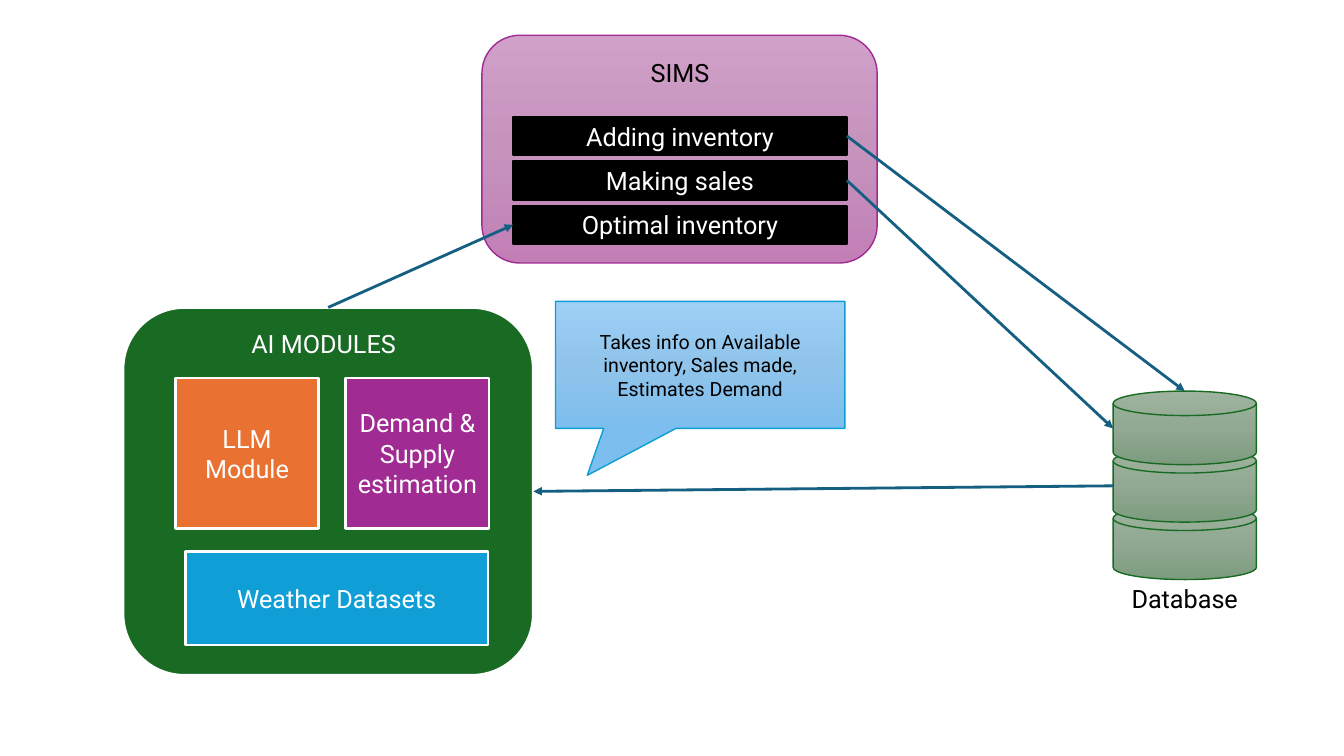
"""Build the inventory system architecture slide."""
from copy import deepcopy

from lxml import etree
from pptx import Presentation
from pptx import util as u
from pptx.dml.color import RGBColor
from pptx.enum import shapes, text
from pptx.oxml.ns import qn

THEME = {
    "font": "Roboto", "body": 18, "note": 14,
    "black": "000000", "white": "FFFFFF", "green": "196B24",
    "purple": "A02B93", "orange": "E97132", "blue": "0F9ED5", "arrow": "156082",
    "disk": ["9EB49F", "91A892", "7D9C7E"],
    "panel": ["D0A0C8", "C693BD", "C17FB6"],
    "callout": ["9ECFF5", "90C4EB", "7CBEED"],
}
KIND = shapes.MSO_SHAPE

prs = Presentation()
prs.slide_width, prs.slide_height = u.Inches(13.33), u.Inches(7.5)
s = prs.slides.add_slide(prs.slide_layouts[6])


def write(sp, words, color, size="body"):
    """Put centred, wrapped text in a shape."""
    tf = sp.text_frame
    tf.word_wrap = True
    p = tf.paragraphs[0]
    p.alignment = text.PP_ALIGN.CENTER
    r = p.add_run()
    r.text = words
    formats = {"name": THEME["font"], "size": u.Pt(THEME[size])}
    for name, value in formats.items():
        setattr(r.font, name, value)
    r.font.color.rgb = RGBColor.from_string(THEME[color])


def add_block(kind, box, fill, line, width):
    """Add a shape with a solid or vertical three-stop gradient fill."""
    sp = s.shapes.add_shape(kind, *map(u.Inches, box))
    sp.shadow.inherit = False
    colors = THEME[fill]
    if isinstance(colors, list):
        sp.fill.gradient()
        sp.fill.gradient_angle = 270
        stop_list = sp._element.spPr.find(qn("a:gradFill")).find(qn("a:gsLst"))
        stop_list.append(deepcopy(stop_list[0]))
        for i, (stop, color) in enumerate(zip(sp.fill.gradient_stops, colors)):
            stop.position = i / 2
            stop.color.rgb = RGBColor.from_string(color)
    else:
        sp.fill.solid()
        sp.fill.fore_color.rgb = RGBColor.from_string(colors)
    sp.line.color.rgb = RGBColor.from_string(THEME[line])
    sp.line.width = u.Pt(width)
    return sp


for i in range(3):
    add_block(KIND.FLOWCHART_MAGNETIC_DISK, (11.04, 5.02 - 0.57 * i, 1.42, 0.73),
              "disk", "green", 1)

add_block(KIND.ROUNDED_RECTANGLE, (4.78, 0.35, 3.92, 2.26), "panel", "purple", 1)
bars = []
for i, words in enumerate(["Adding inventory", "Making sales", "Optimal inventory"]):
    bar = add_block(KIND.RECTANGLE, (5.09, 1.16 + 0.44 * i, 3.31, 0.38),
                    "black", "black", 1.5)
    write(bar, words, "white")
    bars.append(bar)

ai_panel = add_block(KIND.ROUNDED_RECTANGLE, (1.22, 3.05, 4.07, 3.65), "green", "white", 2)
modules = [
    ("Demand & Supply estimation", (3.43, 3.75, 1.42, 1.49), "purple"),
    ("LLM Module", (1.74, 3.75, 1.42, 1.49), "orange"),
    ("Weather Datasets", (1.84, 5.47, 3, 0.93), "blue"),
]
for words, box, fill in modules:
    write(add_block(KIND.RECTANGLE, box, fill, "white", 2), words, "white")

callout = add_block(KIND.RECTANGULAR_CALLOUT, (5.51, 2.99, 2.87, 1.26), "callout", "blue", 1)
callout.adjustments[0], callout.adjustments[1] = -0.39, 0.87
write(callout, "Takes info on Available inventory, Sales made, Estimates Demand",
      "black", "note")

labels = [
    ("Database", (11.04, 5.74, 1.42, 0.4), "black"),
    ("SIMS", (5.09, 0.52, 3.31, 0.4), "black"),
    ("AI MODULES", (1.84, 3.21, 2.74, 0.4), "white"),
]
for words, box, color in labels:
    label = s.shapes.add_textbox(*map(u.Inches, box))
    write(label, words, color)
    label.text_frame.auto_size = text.MSO_AUTO_SIZE.SHAPE_TO_FIT_TEXT

arrows = [
    ((8.4, 1.35, 11.75, 3.88), (bars[0], 3), None),
    ((8.4, 1.79, 11.04, 4.25), (bars[1], 3), None),
    ((11.04, 4.82, 5.29, 4.87), None, (ai_panel, 3)),
    ((3.26, 3.05, 5.09, 2.23), (ai_panel, 0), (bars[2], 1)),
]
for ends, start, finish in arrows:
    arrow = s.shapes.add_connector(shapes.MSO_CONNECTOR.STRAIGHT, *map(u.Inches, ends))
    if start:
        arrow.begin_connect(*start)
    if finish:
        arrow.end_connect(*finish)
    arrow.line.color.rgb = RGBColor.from_string(THEME["arrow"])
    arrow.line.width = u.Pt(2)
    etree.SubElement(arrow.line._get_or_add_ln(), qn("a:tailEnd"), type="triangle")
    etree.SubElement(arrow._element.spPr, qn("a:effectLst"))

prs.save("out.pptx")
